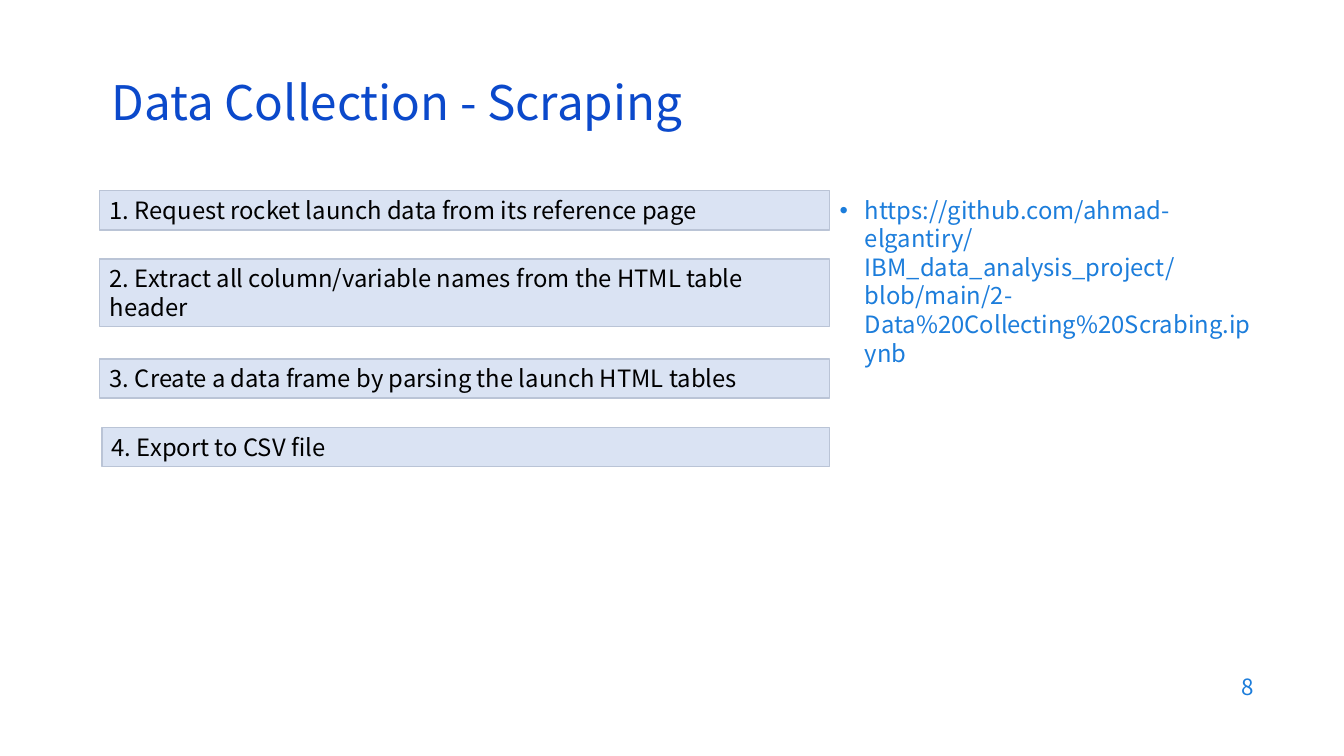
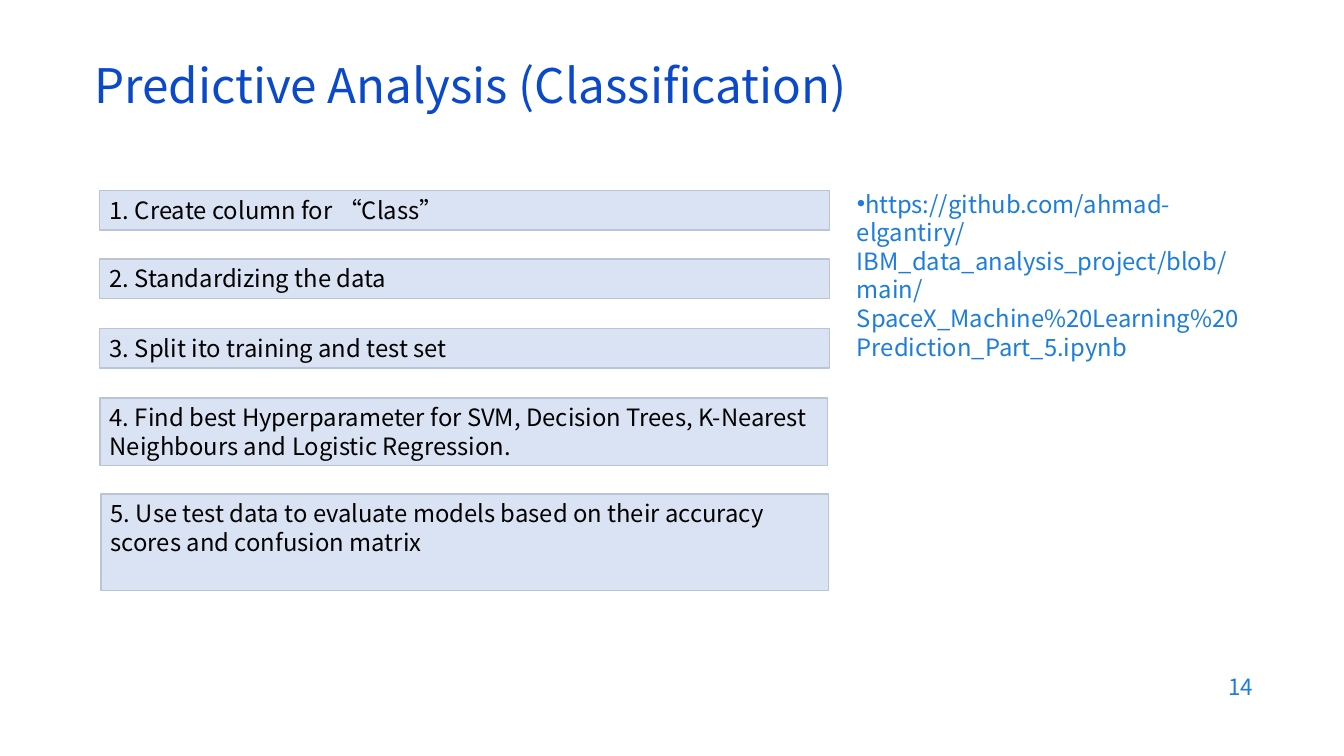
from dataclasses import dataclass

from pptx import Presentation
from pptx.dml.color import RGBColor as Rgb
from pptx.enum.shapes import MSO_SHAPE as Kind
from pptx.enum.text import MSO_ANCHOR as Anchor, PP_ALIGN as Align
from pptx.oxml.ns import qn
from pptx.util import Pt

PX = 9144  # EMU in one px, 100 px to the inch


@dataclass
class Theme:
    face: str = "Noto Sans CJK TC"
    dot: str = "Arial"
    head: str = "0B49CB"
    link: str = "1C7DDB"
    ink: str = "000000"
    fill: str = "DAE3F3"
    edge: str = "BAC4D6"
    big: int = 34
    body: int = 17
    small: int = 16


theme = Theme()


def write(shape, text, size, color):
    """Put one styled paragraph in a shape and return it."""
    shape.text_frame.word_wrap = True
    para = shape.text_frame.paragraphs[0]
    para.text = text
    para.alignment = Align.LEFT
    font = para.font
    font.name, font.size = theme.face, Pt(size)
    font.color.rgb = Rgb.from_string(color)
    return para


def add_text(slide, area, text, size, color, anchor=Anchor.TOP):
    """Add a text box and return its paragraph."""
    box = slide.shapes.add_textbox(*[n * PX for n in area])
    box.text_frame.vertical_anchor = anchor
    return write(box, text, size, color)


# Content: steps are (left, top, width, height, text)
repo = "https://github.com/ahmad-elgantiry/IBM_data_analysis_project/blob/main/"
pages = [
    dict(
        title="Data Collection - Scraping", spot=(101, 76), number="8",
        link=repo + "2-Data%20Collecting%20Scrabing.ipynb",
        area=(823, 189, 430, 417), indent=25,
        steps=[
            (99, 189, 724, 39, "1. Request rocket launch data from its reference page"),
            (99, 257, 724, 67, "2. Extract all column/variable names from the HTML table header"),
            (99, 356, 724, 39, "3. Create a data frame by parsing the launch HTML tables"),
            (101, 424, 722, 39, "4. Export to CSV file"),
        ],
    ),
    dict(
        title="Predictive Analysis (Classification)", spot=(84, 59), number="14",
        link=repo + "SpaceX_Machine%20Learning%20Prediction_Part_5.ipynb",
        area=(840, 183, 413, 476), indent=0,
        steps=[
            (99, 189, 724, 39, "1. Create column for “Class”"),
            (99, 257, 724, 39, "2. Standardizing the data"),
            (99, 326, 724, 39, "3. Split ito training and test set"),
            (99, 395, 722, 67, "4. Find best Hyperparameter for SVM, Decision Trees, "
                               "K-Nearest Neighbours and Logistic Regression."),
            (100, 490, 722, 96, "5. Use test data to evaluate models based on their "
                                "accuracy scores and confusion matrix"),
        ],
    ),
]

deck = Presentation()
deck.slide_width, deck.slide_height = 1333 * PX, 750 * PX

for page in pages:
    slide = deck.slides.add_slide(deck.slide_layouts[6])

    # Title and page number
    title = add_text(slide, (*page["spot"], 1150, 60), page["title"],
                     theme.big, theme.head, Anchor.MIDDLE)
    title.line_spacing = 0.8
    number = add_text(slide, (953, 659, 300, 44), page["number"],
                      theme.small, theme.link, Anchor.MIDDLE)
    number.alignment = Align.RIGHT

    # Bulleted link
    link = add_text(slide, page["area"], page["link"], theme.body, theme.link)
    props = link._p.get_or_add_pPr()
    props.set("marL", str(page["indent"] * PX))
    props.set("indent", str(-page["indent"] * PX))
    for tag, key, value in (("a:buFont", "typeface", theme.dot),
                            ("a:buChar", "char", "•")):
        mark = props.makeelement(qn(tag), {key: value})
        props.insert_element_before(mark, "a:tabLst", "a:defRPr", "a:extLst")

    # Steps
    for *area, text in page["steps"]:
        step = slide.shapes.add_shape(Kind.RECTANGLE, *[n * PX for n in area])
        step.shadow.inherit = False
        step.fill.solid()
        step.fill.fore_color.rgb = Rgb.from_string(theme.fill)
        step.line.color.rgb = Rgb.from_string(theme.edge)
        step.line.width = Pt(1)
        step.text_frame.vertical_anchor = Anchor.TOP
        write(step, text, theme.body, theme.ink)

deck.save("out.pptx")
